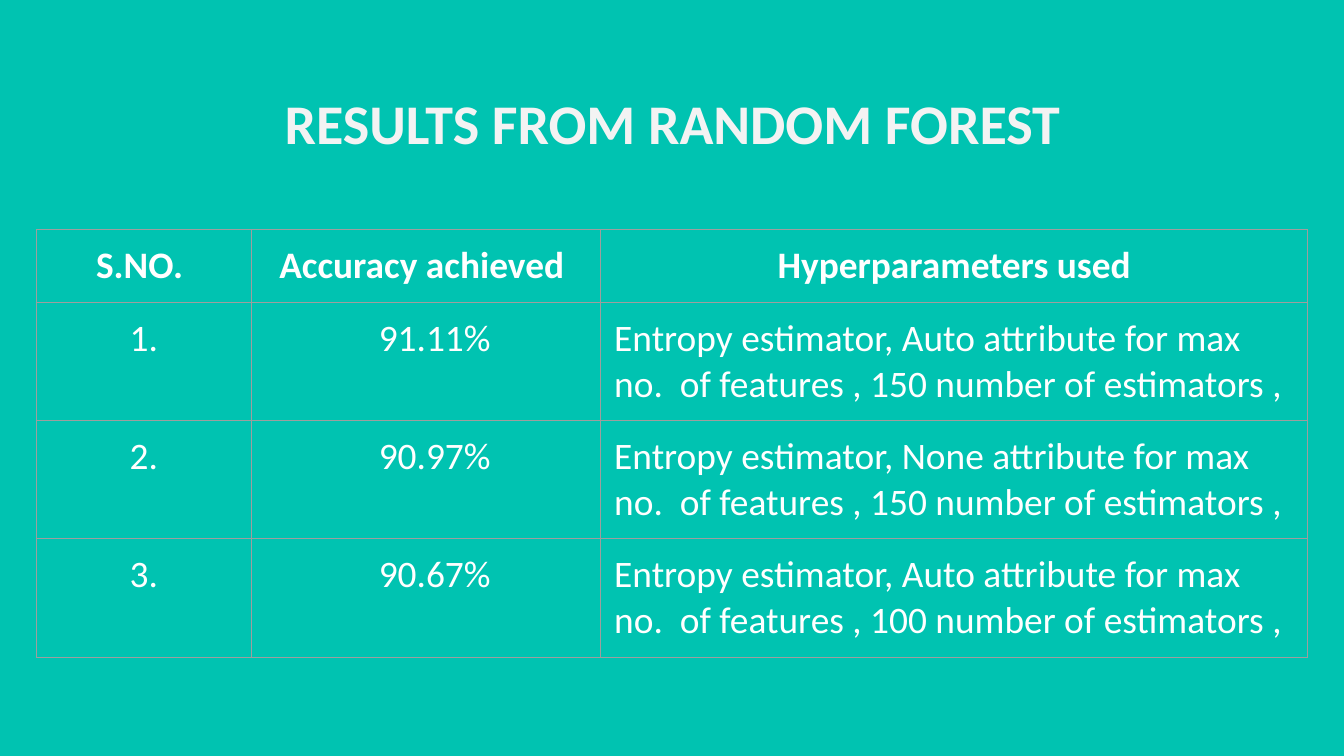
from dataclasses import dataclass

from lxml import etree
from pptx import Presentation
from pptx.dml.color import RGBColor
from pptx.enum.text import MSO_ANCHOR, PP_ALIGN
from pptx.oxml.ns import qn
from pptx.util import Inches, Pt

TOP = MSO_ANCHOR.TOP
LEFT, MID = PP_ALIGN.LEFT, PP_ALIGN.CENTER


@dataclass(frozen=True)
class Theme:
    back: str = "00C3B1"
    head: str = "F3F3F3"
    text: str = "FFFFFF"
    rule: str = "9E9E9E"
    font: str = "Calibri"
    title: int = 30
    body: int = 20


theme = Theme()


def write(frame, text, size=theme.body, color=theme.text, bold=False, align=MID):
    frame.word_wrap = True
    para = frame.paragraphs[0]
    para.alignment = align
    run = para.add_run()
    run.text = text
    run.font.name = theme.font
    run.font.size = Pt(size)
    run.font.bold = bold
    run.font.color.rgb = RGBColor.from_string(color)


def edge(cell):
    props = cell._tc.get_or_add_tcPr()
    for i, tag in enumerate(("a:lnL", "a:lnR", "a:lnT", "a:lnB")):
        line = etree.Element(qn(tag), w=str(Pt(0.75)))
        fill = etree.SubElement(line, qn("a:solidFill"))
        etree.SubElement(fill, qn("a:srgbClr"), val=theme.rule)
        props.insert(i, line)


# Slide in 16:9 and background
deck = Presentation()
deck.slide_width, deck.slide_height = Inches(10), Inches(10 * 9 / 16)
slide = deck.slides.add_slide(deck.slide_layouts[6])
fill = slide.background.fill
fill.solid()
fill.fore_color.rgb = RGBColor.from_string(theme.back)

# Title
box = slide.shapes.add_textbox(Inches(0.79), Inches(0.56), Inches(8.43), Inches(0.63))
frame = box.text_frame
frame.vertical_anchor = TOP
frame.margin_left = frame.margin_right = Inches(0.1)
frame.margin_top = frame.margin_bottom = Inches(0.1)
write(frame, "RESULTS FROM RANDOM FOREST", size=theme.title, color=theme.head, bold=True)

# Results: accuracy, attribute for max features, number of estimators
runs = [("91.11%", "Auto", 150), ("90.97%", "None", 150), ("90.67%", "Auto", 100)]
rows = [("S.NO. ", "Accuracy achieved ", "Hyperparameters used")]
for i, (score, attr, count) in enumerate(runs, 1):
    note = (f"Entropy estimator, {attr} attribute for max no.  of features , "
            f"{count} number of estimators ,")
    rows.append((f"{i}.", score, note))

# Table
wide = (1.6, 2.6, 5.26)
high = [0.54] + [0.88] * len(runs)
grid = slide.shapes.add_table(len(rows), len(wide), Inches(0.27), Inches(1.71),
                              Inches(sum(wide)), Inches(sum(high))).table
grid.first_row = grid.horz_banding = False
for col, size in zip(grid.columns, wide):
    col.width = Inches(size)
for row, size in zip(grid.rows, high):
    row.height = Inches(size)

for r, row in enumerate(rows):
    for c, text in enumerate(row):
        cell = grid.cell(r, c)
        cell.fill.background()
        cell.vertical_anchor = TOP
        cell.margin_right = cell.margin_top = cell.margin_bottom = Inches(0.1)
        # Scores sit slightly right of centre
        cell.margin_left = Inches(0.23 if r and c == 1 else 0.1)
        write(cell.text_frame, text, bold=r == 0, align=LEFT if r and c == 2 else MID)
        edge(cell)

deck.save("out.pptx")
